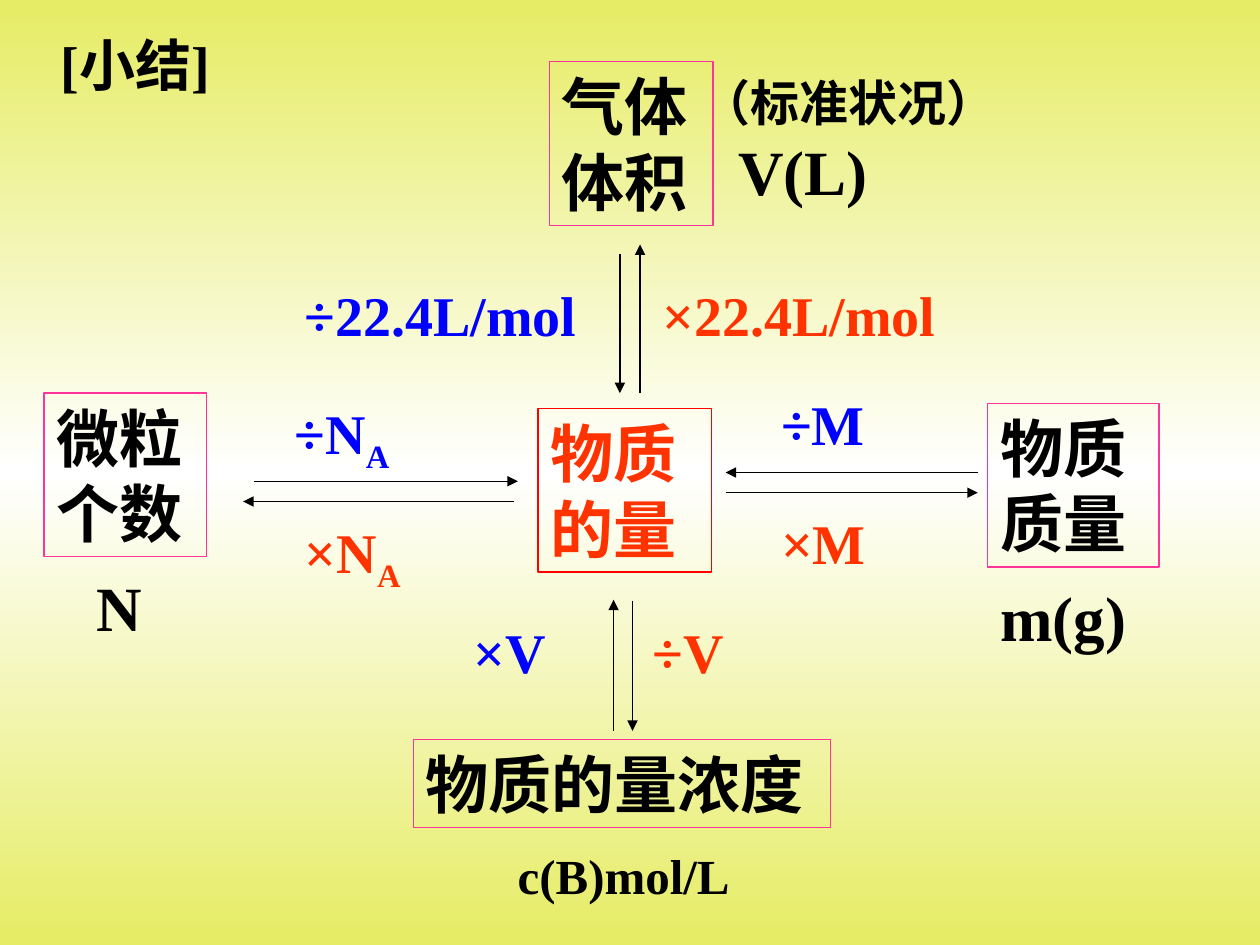
import copy

import pptx
import pptx.dml.color
import pptx.enum.shapes
import pptx.enum.text
import pptx.oxml.ns
import pptx.util
from lxml import etree
from pptx.util import Inches

RGBColor = pptx.dml.color.RGBColor
BLACK = RGBColor(0x00, 0x00, 0x00)
BLUE = RGBColor(0x00, 0x00, 0xFF)
ORANGE = RGBColor(0xFF, 0x33, 0x00)
RED = RGBColor(0xFF, 0x00, 0x00)
PINK = RGBColor(0xFF, 0x33, 0x99)
WHITE = RGBColor(0xFF, 0xFF, 0xFF)
YELLOW = RGBColor(0xE6, 0xEC, 0x64)
qn = pptx.oxml.ns.qn


def write(tf, text, size=32, color=BLACK, sub="", wrap=True):
    tf.word_wrap = wrap
    tf.auto_size = pptx.enum.text.MSO_AUTO_SIZE.SHAPE_TO_FIT_TEXT
    tf.vertical_anchor = pptx.enum.text.MSO_ANCHOR.TOP
    for i, line in enumerate(text.split("\n")):
        p = tf.add_paragraph() if i else tf.paragraphs[0]
        p.alignment = pptx.enum.text.PP_ALIGN.LEFT
        for part in filter(None, (line, sub)):
            r = p.add_run()
            r.text = part
            r.font.name = "Times New Roman"
            r.font.size = pptx.util.Pt(size)
            r.font.bold = True
            r.font.color.rgb = color
            if part == sub:
                r._r.get_or_add_rPr().set("baseline", "-25000")


class Diagram:
    line_width = pptx.util.Pt(0.75)

    def __init__(self, prs):
        self.s = prs.slides.add_slide(prs.slide_layouts[5])

    def background(self, edge, middle):
        fill = self.s.background.fill
        fill.gradient()
        fill.gradient_angle = 90
        first = fill.gradient_stops[0]._gs
        first.addnext(copy.deepcopy(first))
        for stop, position, color in zip(fill.gradient_stops, (0, 0.5, 1), (edge, middle, edge)):
            stop.position = position
            stop.color.rgb = color

    def title(self, text, x, y, w, h):
        sp = self.s.shapes.title
        sp.left, sp.top, sp.width, sp.height = map(Inches, (x, y, w, h))
        write(sp.text_frame, text, wrap=False)

    def label(self, text, x, y, w, h, **style):
        sp = self.s.shapes.add_textbox(*map(Inches, (x, y, w, h)))
        write(sp.text_frame, text, **style)

    def box(self, text, x, y, w, h, line=PINK, color=BLACK):
        sp = self.s.shapes.add_shape(
            pptx.enum.shapes.MSO_SHAPE.RECTANGLE, *map(Inches, (x, y, w, h)))
        sp.shadow.inherit = False
        sp.fill.background()
        sp.line.color.rgb = line
        sp.line.width = self.line_width
        write(sp.text_frame, text, size=36, color=color)

    def arrow(self, x1, y1, x2, y2):
        cx = self.s.shapes.add_connector(
            pptx.enum.shapes.MSO_CONNECTOR.STRAIGHT, *map(Inches, (x1, y1, x2, y2)))
        cx.line.color.rgb = BLACK
        cx.line.width = self.line_width
        etree.SubElement(cx.line._get_or_add_ln(), qn("a:tailEnd"), type="triangle")
        etree.SubElement(cx._element.spPr, qn("a:effectLst"))


def main():
    prs = pptx.Presentation()
    prs.slide_width, prs.slide_height = Inches(10), Inches(7.5)
    d = Diagram(prs)
    d.background(YELLOW, WHITE)
    d.title("[小结]", 0.38, 0.19, 1.6, 0.64)

    d.box("物质\n的量", 4.27, 3.24, 1.38, 1.3, line=RED, color=ORANGE)
    d.box("气体\n体积", 4.36, 0.49, 1.3, 1.3)
    d.box("微粒\n个数", 0.35, 3.12, 1.29, 1.3)
    d.box("物质\n质量", 7.84, 3.2, 1.36, 1.3)
    d.box("物质的量浓度", 3.28, 5.87, 3.31, 0.7)

    d.label("（标准状况）", 5.47, 0.53, 3.09, 0.57, size=28)
    d.label("V(L)", 5.76, 1, 1.23, 0.7, size=36, wrap=False)
    d.label("N", 0.67, 4.46, 0.55, 0.7, size=36)
    d.label("m(g)", 7.84, 4.54, 1.2, 0.7, size=36, wrap=False)
    d.label("c(B)mol/L", 4.01, 6.66, 1.88, 0.57, size=28, wrap=False)

    for text, x, y, w, color in (
        ("÷22.4L/mol", 2.32, 2.18, 2.6, BLUE),
        ("×22.4L/mol", 5.16, 2.18, 2.6, ORANGE),
        ("÷M", 6.1, 3.04, 1.15, BLUE),
        ("×M", 6.1, 3.99, 1.15, ORANGE),
        ("×V", 3.66, 4.85, 1.1, BLUE),
        ("÷V", 5.08, 4.85, 1.05, ORANGE),
    ):
        d.label(text, x, y, w, 0.64, color=color)
    d.label("÷N", 2.24, 3.11, 1.26, 0.71, color=BLUE, sub="A")
    d.label("×N", 2.32, 4.06, 1.26, 0.71, color=ORANGE, sub="A")

    for ends in (
        (4.92, 2.02, 4.92, 3.12), (5.08, 3.12, 5.08, 1.94),
        (2.02, 3.82, 4.11, 3.82), (4.08, 3.98, 1.93, 3.98),
        (7.76, 3.75, 5.76, 3.75), (5.76, 3.91, 7.76, 3.91),
        (4.87, 5.8, 4.87, 4.76), (5.02, 4.77, 5.02, 5.8),
    ):
        d.arrow(*ends)

    prs.save("out.pptx")


if __name__ == "__main__":
    main()
